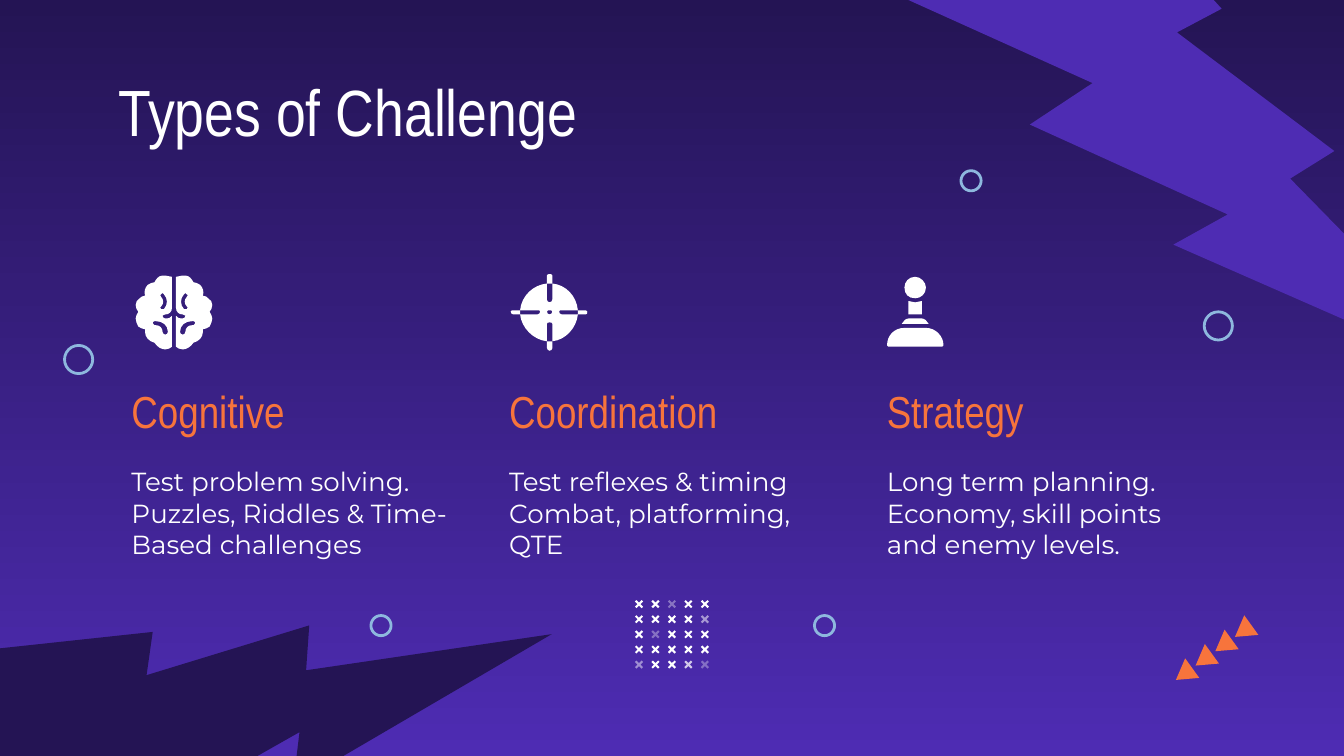
from collections import namedtuple
from dataclasses import dataclass

from lxml.etree import SubElement
from pptx import Presentation
from pptx.dml.color import RGBColor
from pptx.enum.shapes import MSO_SHAPE
from pptx.enum.text import MSO_ANCHOR, MSO_AUTO_SIZE, PP_ALIGN
from pptx.oxml import parse_xml
from pptx.oxml.ns import nsdecls, qn
from pptx.util import Inches, Pt


@dataclass(frozen=True)
class Theme:
    night: RGBColor = RGBColor.from_string("241454")
    violet: RGBColor = RGBColor.from_string("4E2CB3")
    orange: RGBColor = RGBColor.from_string("F7743C")
    sky: RGBColor = RGBColor.from_string("8EB8DE")
    white: RGBColor = RGBColor.from_string("FFFFFF")
    display: str = "Arial Narrow"
    text: str = "Montserrat"
    title_size: Pt = Pt(35)
    heading_size: Pt = Pt(24)
    body_size: Pt = Pt(14)


THEME = Theme()
Box = namedtuple("Box", "left top width height")

# The grid has 100 columns across the slide; rows are as tall as columns are wide
SLIDE = Box(0, 0, 100, 56.25)
COLUMN_STEP = 28.1

# Icon outlines, in tenths of a grid column from the icon's anchor
BRAIN_HALF = """
M 7 13 C 7 13 8 13 8 14 C 9 14 9 15 8 16 C 6 18 6 21 8 23 C 9 23 9 24 8 25
C 8 25 7 25 7 25 C 7 25 6 25 6 25 C 3 22 3 17 6 14 C 6 13 7 13 7 13
M 12 34 C 12 34 13 34 13 34 C 14 34 15 35 14 36 C 14 37 14 37 13 37
C 12 37 12 37 12 37 C 9 37 7 39 7 42 C 7 43 6 44 5 44 C 4 44 3 43 3 42 C 3 37 7 34 12 34
M 5 0 C 3 0 2 0 0 1 L 0 24 C 0 27 2 29 5 29 C 6 29 7 30 7 30 C 7 31 6 32 5 32
C 3 32 1 32 0 30 L 0 53 C 1 54 3 55 5 55 C 8 55 11 53 13 50 C 17 49 20 46 20 42
C 20 41 20 41 20 40 C 22 40 23 39 25 38 C 26 36 27 34 27 32 C 27 30 26 29 25 27
C 26 26 27 24 27 22 C 27 20 26 18 24 17 C 23 16 22 15 20 15 C 21 12 20 9 18 7
C 16 6 15 5 13 5 C 12 3 10 0 7 0 C 6 0 6 0 5 0"""
CROSSHAIR_PARTS = (
    """M 29 27 C 30 27 31 27 31 28 C 31 29 30 30 29 30 C 28 30 27 29 27 28 C 27 27 28 27 29 27
    M 27 7 C 17 8 8 16 7 27 L 20 27 C 21 27 22 27 22 28 C 22 29 21 30 20 30 L 7 30
    C 8 40 17 49 27 50 L 27 37 C 27 36 28 36 29 36 C 30 36 31 36 31 37 L 31 50
    C 41 49 49 40 50 30 L 38 30 C 37 30 36 29 36 28 C 36 27 37 27 38 27 L 50 27
    C 49 16 41 8 31 7 L 31 19 C 31 20 30 21 29 21 C 28 21 27 20 27 19 L 27 7""",
    "M 29 0 C 28 0 27 0 27 1 L 27 7 C 28 7 28 7 29 7 C 29 7 30 7 31 7 L 31 1 C 31 0 30 0 29 0",
    "M 27 50 L 27 55 C 27 56 28 57 29 57 C 30 57 31 56 31 55 L 31 50 C 30 50 29 50 29 50 C 28 50 28 50 27 50",
    "M 50 27 C 50 27 50 28 50 28 C 50 29 50 29 50 30 L 56 30 C 57 30 57 29 57 28 C 57 27 57 27 56 27",
    "M 2 27 C 1 27 0 27 0 28 C 0 29 1 30 2 30 L 7 30 C 7 29 7 29 7 28 C 7 28 7 27 7 27",
)
JOYSTICK_PARTS = (
    "M 21 0 C 16 0 13 4 13 8 C 13 13 16 16 21 16 C 25 16 29 13 29 8 C 29 4 25 0 21 0",
    "M 16 18 L 16 28 L 26 28 L 26 18 C 24 19 23 19 21 19 C 19 19 18 19 16 18",
    "M 16 31 C 14 31 12 33 11 35 C 12 35 12 35 13 35 L 29 35 C 30 35 30 35 31 35 C 30 33 28 31 26 31",
    "M 13 38 C 5 38 0 44 0 51 C 0 52 0 52 1 52 L 41 52 C 42 52 42 52 42 51 C 42 44 36 38 29 38",
)


def place(box):
    return [Inches(value / 10) for value in box]


def add_outline(shapes, commands, left, top, side=1):
    """Build a freeform of lines, then join the points of each curve into a Bezier."""
    contours, kinds, tokens = [], [], iter(commands.split())
    for kind in tokens:
        numbers = [float(next(tokens)) for _ in range(6 if kind == "C" else 2)]
        points = [place((left + side * x / 10, top + y / 10))
                  for x, y in zip(numbers[::2], numbers[1::2])]
        if kind == "M":
            contours.append(points)
        else:
            contours[-1] += points
            kinds.append(kind)
    builder = shapes.build_freeform(*contours[0][0], scale=1.0)
    for index, contour in enumerate(contours):
        if index:
            builder.move_to(*contour[0])
        builder.add_line_segments(contour[1:], close=True)
    shape = builder.convert_to_shape()
    paint(shape, THEME.white)

    segments = iter(list(shape.element.spPr.iter(qn("a:lnTo"))))
    for kind in kinds:
        first = next(segments)
        if kind == "C":
            curve = parse_xml(f"<a:cubicBezTo {nsdecls('a')}/>")
            first.addprevious(curve)
            for segment in (first, next(segments), next(segments)):
                curve.append(segment[0])
                segment.getparent().remove(segment)


def paint(shape, color):
    shape.shadow.inherit = False
    shape.fill.solid()
    shape.fill.fore_color.rgb = color
    shape.line.fill.background()


def add_preset(shapes, kind, box, color, rotation=0):
    shape = shapes.add_shape(kind, *place(box))
    shape.rotation = rotation
    paint(shape, color)
    return shape


def write(shape, lines, font_name, size, color, anchor):
    frame = shape.text_frame
    frame.word_wrap = True
    frame.auto_size = MSO_AUTO_SIZE.NONE
    frame.vertical_anchor = anchor
    frame.margin_left = frame.margin_right = frame.margin_top = frame.margin_bottom = Inches(0.1)
    frame.text = "\n".join(lines)
    for paragraph in frame.paragraphs:
        paragraph.alignment = PP_ALIGN.LEFT
        paragraph.font.name = font_name
        paragraph.font.size = size
        paragraph.font.color.rgb = color


def draw_brain(shapes, left, top):
    for side in (1, -1):
        add_outline(shapes, BRAIN_HALF, left + 4.15 + side * 0.15, top, side)


def draw_crosshair(shapes, left, top):
    for part in CROSSHAIR_PARTS:
        add_outline(shapes, part, left + 1.1, top - 0.1)


def draw_joystick(shapes, left, top):
    for part in JOYSTICK_PARTS:
        add_outline(shapes, part, left + 1, top + 0.1)


def add_challenge(slide, box, heading, lines, draw_icon):
    heading_box = slide.shapes.add_textbox(*place((box.left, box.top + 7.3, 21.3, 5.5)))
    write(heading_box, [heading], THEME.display, THEME.heading_size, THEME.orange, MSO_ANCHOR.MIDDLE)
    body_box = slide.shapes.add_textbox(*place((box.left, box.top + 12.9, box.width, 9.5)))
    write(body_box, lines, THEME.text, THEME.body_size, THEME.white, MSO_ANCHOR.MIDDLE)
    draw_icon(slide.shapes.add_group_shape().shapes, box.left, box.top)


def add_backdrop(slide):
    fill = slide.background.fill
    fill.gradient()
    fill.gradient_angle = 270
    for stop, color, position in zip(fill.gradient_stops, (THEME.night, THEME.violet), (0, 1)):
        stop.color.rgb = color
        stop.position = position
    add_preset(slide.shapes, MSO_SHAPE.LIGHTNING_BOLT, (67.1, -10.7, 41.7, 41.7), THEME.violet, 353.7)
    add_preset(slide.shapes, MSO_SHAPE.LIGHTNING_BOLT, (-1.5, 35.9, 36, 36), THEME.night, 299.7)


def add_triangles(shapes, box):
    for step in range(4):
        spot = (box.left + box.width * (3 - step) / 3, box.top + box.height * step / 3, 1.8, 1.5)
        add_preset(shapes, MSO_SHAPE.ISOSCELES_TRIANGLE, spot, THEME.orange, 234.2)


def add_rings(shapes):
    for left, top, size in ((27.6, 45.8, 1.5), (89.6, 23.2, 2.1), (4.8, 25.7, 2.1),
                            (60.6, 45.8, 1.5), (71.5, 12.7, 1.5)):
        ring = add_preset(shapes, MSO_SHAPE.OVAL, (left, top, size, size), THEME.sky)
        ring.fill.background()
        ring.line.color.rgb = THEME.sky
        ring.line.width = Pt(1.5)


def add_crosses(shapes, box, count=5):
    opacity = {(0, 2): 36, (1, 4): 53, (2, 1): 34, (4, 0): 48, (4, 3): 75, (4, 4): 33}
    size = 0.7
    for row in range(count):
        for column in range(count):
            left = box.left + (box.width - size) * column / (count - 1)
            top = box.top + (box.height - size) * row / (count - 1)
            cross = add_preset(shapes, MSO_SHAPE.CROSS, (left, top, size, size), THEME.white, 315)
            cross.adjustments[0] = 0.39
            if (row, column) in opacity:
                color = next(cross.element.spPr.iter(qn("a:srgbClr")))
                SubElement(color, qn("a:alpha")).set("val", str(opacity[row, column] * 1000))


def main():
    presentation = Presentation()
    presentation.slide_width, presentation.slide_height = place(SLIDE[2:])
    slide = presentation.slides.add_slide(presentation.slide_layouts[5])
    add_backdrop(slide)
    # Title
    title = slide.shapes.title
    title.left, title.top, title.width, title.height = place((7.8, 4.3, 84.3, 6.4))
    write(title, ["Types of Challenge"], THEME.display, THEME.title_size, THEME.white, MSO_ANCHOR.TOP)
    # Three kinds of challenge
    challenges = (
        ("Cognitive", ["Test problem solving.", "Puzzles, Riddles & Time-Based challenges"], draw_brain),
        ("Coordination", ["Test reflexes & timing", "Combat, platforming, QTE"], draw_crosshair),
        ("Strategy", ["Long term planning.", "Economy, skill points and enemy levels."], draw_joystick),
    )
    for index, challenge in enumerate(challenges):
        add_challenge(slide, Box(8.8 + COLUMN_STEP * index, 20.5, 26.1, 22.4), *challenge)
    # Ornaments
    ornaments = slide.shapes.add_group_shape().shapes
    add_triangles(ornaments, Box(87.2, 46.2, 4.4, 3.2))
    add_rings(ornaments)
    add_crosses(ornaments, Box(47.2, 44.6, 5.6, 5.2))
    presentation.save("out.pptx")


if __name__ == "__main__":
    main()
